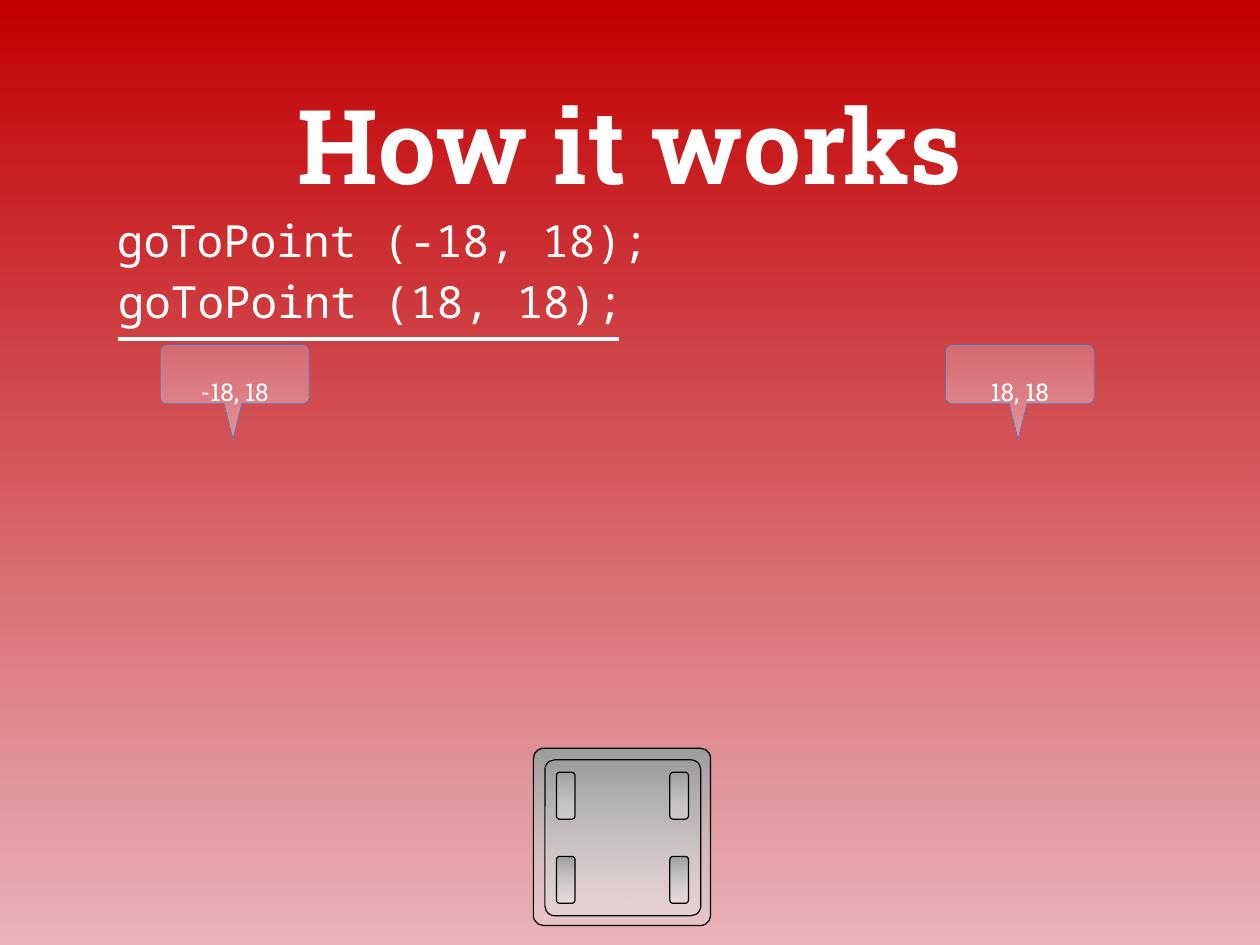
import math
from itertools import product

from lxml import etree
from pptx import Presentation
from pptx.dml.color import RGBColor
from pptx.enum import shapes, text
from pptx.oxml import ns
from pptx.util import Inches, Pt

WHITE = RGBColor(0xFF, 0xFF, 0xFF)
BLACK = RGBColor(0x00, 0x00, 0x00)
BLUE = RGBColor(0x44, 0x72, 0xC4)
RED = RGBColor(0xC2, 0x00, 0x02)
PINK = RGBColor(0xE8, 0xB3, 0xB9)
ROSE = RGBColor(0xD9, 0x7F, 0x87)
GREY = RGBColor(0x9E, 0x9E, 0x9E)
PALE_GREY = RGBColor(0xEB, 0xEB, 0xEB)

HEAD_FONT = "Roboto Slab"
CODE_FONT = "Noto Sans Mono"


def set_gradient(fill, top, bottom):
    """Fill with a vertical gradient."""
    fill.gradient()
    fill.gradient_angle = 270
    for stop, color in zip(fill.gradient_stops, (top, bottom)):
        stop.color.rgb = color


def set_opacity(sp, *percents):
    """Set the opacity of each gradient stop of a shape."""
    colors = sp._element.spPr.findall(".//" + ns.qn("a:gs") + "/" + ns.qn("a:srgbClr"))
    for color, percent in zip(colors, percents):
        etree.SubElement(color, ns.qn("a:alpha"), val=str(percent * 1000))


def set_line(sp, color, width):
    sp.line.color.rgb = color
    sp.line.width = Pt(width)


def write(sp, content, size, font=HEAD_FONT, bold=False, margin=0,
          align=text.PP_ALIGN.CENTER, wrap=True):
    """Put one formatted paragraph into a shape."""
    tf = sp.text_frame
    tf.word_wrap = wrap
    tf.auto_size = text.MSO_AUTO_SIZE.NONE
    tf.vertical_anchor = text.MSO_ANCHOR.MIDDLE
    tf.margin_left = tf.margin_right = Inches(margin)
    tf.margin_top = tf.margin_bottom = Inches(margin)
    p = tf.paragraphs[0]
    p.alignment = align
    r = p.add_run()
    r.text = content
    r.font.name = font
    r.font.size = Pt(size)
    r.font.bold = bold
    r.font.color.rgb = WHITE


def add_title(s, content):
    sp = s.shapes.title
    sp.left, sp.top = Inches(1.39), Inches(0.92)
    sp.width, sp.height = Inches(11.44), Inches(1.39)
    write(sp, content, 84, bold=True, margin=0.06)


def add_code(s, content, left, top, width):
    sp = s.shapes.add_textbox(Inches(left), Inches(top), Inches(width), Inches(0.71))
    write(sp, content, 36, font=CODE_FONT, align=text.PP_ALIGN.LEFT, wrap=False)


def add_underline(s, left, right, y):
    line = s.shapes.add_connector(shapes.MSO_CONNECTOR.STRAIGHT,
                                  Inches(left), Inches(y), Inches(right), Inches(y))
    set_line(line, WHITE, 3)
    etree.SubElement(line._element.spPr, ns.qn("a:effectLst"))


def corner(cx, cy, radius, start):
    """Points of a quarter circle, clockwise from an angle in degrees."""
    angles = [math.radians(start + step) for step in range(0, 91, 15)]
    return [(cx + radius * math.cos(a), cy + radius * math.sin(a)) for a in angles]


def add_callout(s, content, left, top):
    """Rounded label with a pointer below."""
    width, body, height, radius = 1.68, 0.67, 1.07, 0.08
    right, bottom = left + width, top + body
    tip = left + 0.82
    points = (corner(left + radius, top + radius, radius, 180)
              + corner(right - radius, top + radius, radius, 270)
              + corner(right - radius, bottom - radius, radius, 0)
              + [(tip + 0.1, bottom), (tip, top + height), (tip - 0.1, bottom)]
              + corner(left + radius, bottom - radius, radius, 90))
    points = [(Inches(x), Inches(y)) for x, y in points]
    builder = s.shapes.build_freeform(*points[0])
    builder.add_line_segments(points[1:], close=True)
    sp = builder.convert_to_shape()
    sp.shadow.inherit = False
    set_gradient(sp.fill, ROSE, PINK)
    set_opacity(sp, 65, 65)
    set_line(sp, BLUE, 0.5)
    write(sp, content, 20)


def add_panel(group, left, top, width, height, radius):
    """Grey rounded part of the robot."""
    sp = group.shapes.add_shape(shapes.MSO_SHAPE.ROUNDED_RECTANGLE,
                                Inches(left), Inches(top), Inches(width), Inches(height))
    sp.adjustments[0] = radius
    sp.shadow.inherit = False
    set_gradient(sp.fill, GREY, PALE_GREY)
    set_opacity(sp, 100, 33)
    set_line(sp, BLACK, 1)


def add_robot(s):
    robot = s.shapes.add_group_shape()
    add_panel(robot, 6.02, 8.45, 2, 2, 0.056)
    add_panel(robot, 6.15, 8.58, 1.76, 1.76, 0.063)
    for top, left in product((8.72, 9.67), (6.28, 7.56)):
        add_panel(robot, left, top, 0.21, 0.53, 0.174)


def main():
    prs = Presentation()
    prs.slide_width, prs.slide_height = Inches(14.22), Inches(10.67)
    s = prs.slides.add_slide(prs.slide_layouts[5])
    set_gradient(s.background.fill, RED, PINK)

    # Title and commands
    add_title(s, "How it works")
    add_code(s, "goToPoint (-18, 18);", 1.32, 2.35, 6.67)
    add_code(s, "goToPoint (18, 18);", 1.33, 3.04, 6.44)
    add_underline(s, 1.33, 6.99, 3.83)

    # Robot and target points
    add_robot(s)
    add_callout(s, "-18, 18", 1.81, 3.89)
    add_callout(s, "18, 18", 10.67, 3.89)

    prs.save("out.pptx")


if __name__ == "__main__":
    main()
